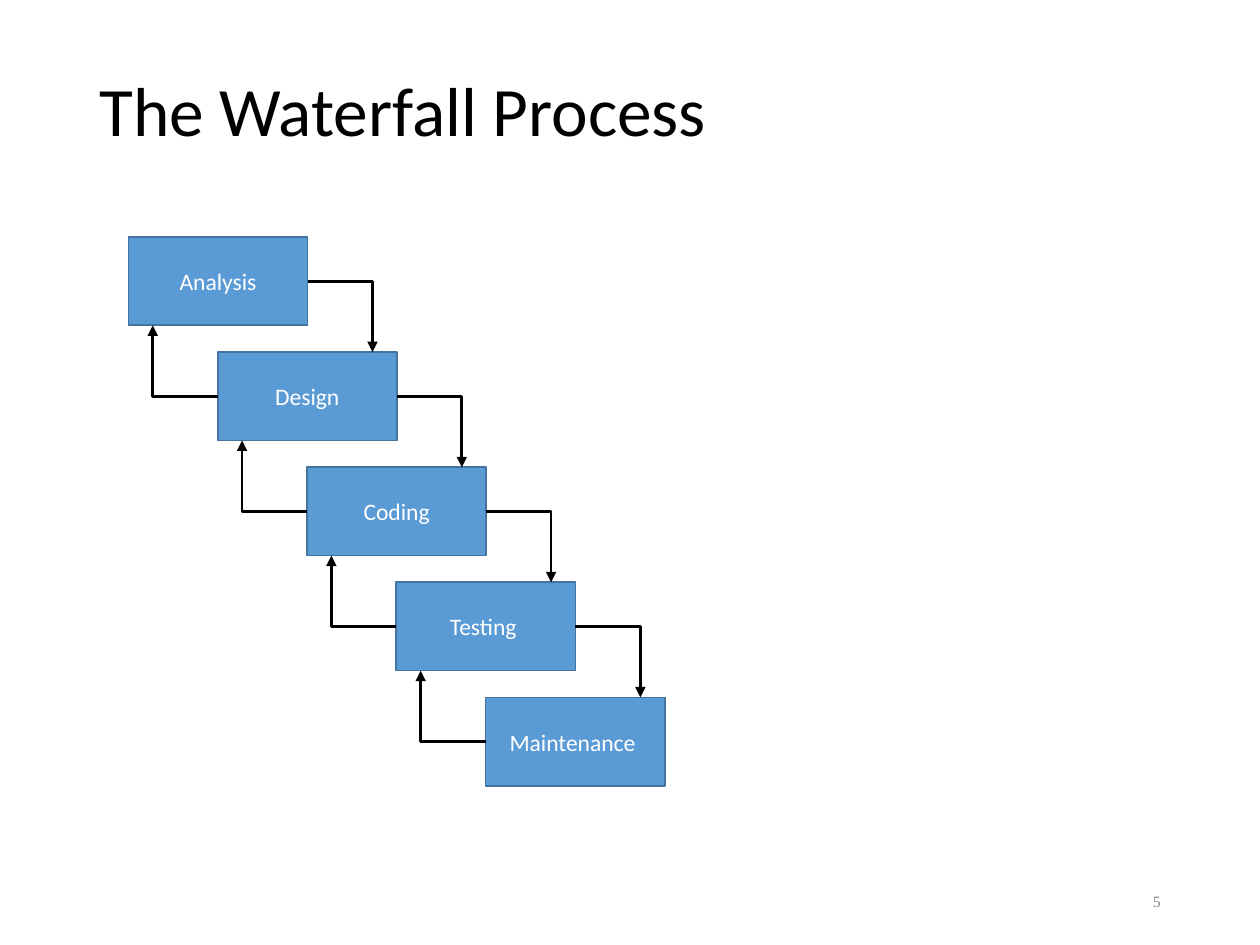
from lxml.etree import SubElement
from pptx import Presentation
from pptx.dml.color import RGBColor
from pptx.enum.shapes import MSO_CONNECTOR as Connector, MSO_SHAPE as Shape
from pptx.enum.text import MSO_ANCHOR as Anchor, MSO_AUTO_SIZE as AutoSize, PP_ALIGN as Align
from pptx.oxml.ns import qn
from pptx.util import Cm, Pt

COLORS = {
    "title": "000000",
    "phase": "5B9BD5",
    "phase_edge": "43739E",
    "phase_text": "FFFFFF",
    "arrow": "000000",
    "number": "898989",
}
PHASES = ["Analysis", "Design", "Coding", "Testing ", "Maintenance "]
PHASE_WIDTH, PHASE_HEIGHT = 3.61, 1.78
STEP_X, STEP_Y = 1.8, 2.32
ARROW_WIDTH = 1.31
ARROW_HEIGHT = STEP_Y - PHASE_HEIGHT / 2


def color(role):
    """Return the colour of a role."""
    return RGBColor.from_string(COLORS[role])


def write(frame, text, size, role, align, font="Calibri"):
    """Write one line of text, centred vertically in its frame."""
    frame.word_wrap = True
    frame.auto_size = AutoSize.NONE
    frame.vertical_anchor = Anchor.MIDDLE
    paragraph = frame.paragraphs[0]
    paragraph.alignment = align
    run = paragraph.add_run()
    run.text = text
    run.font.size = Pt(size)
    run.font.name = font
    run.font.color.rgb = color(role)
    return paragraph


def add_title(slide, left, top, width, height):
    """Place and fill the title placeholder."""
    title = slide.shapes.title
    title.left, title.top = Cm(left), Cm(top)
    title.width, title.height = Cm(width), Cm(height)
    heading = write(title.text_frame, "The Waterfall Process", 39.6, "title", Align.LEFT)
    heading.line_spacing = 0.9


def add_phase(slide, name, left, top):
    """Draw one phase of the process."""
    phase = slide.shapes.add_shape(
        Shape.FLOWCHART_PROCESS, Cm(left), Cm(top), Cm(PHASE_WIDTH), Cm(PHASE_HEIGHT))
    phase.shadow.inherit = False
    phase.fill.solid()
    phase.fill.fore_color.rgb = color("phase")
    phase.line.color.rgb = color("phase_edge")
    phase.line.width = Pt(1)
    write(phase.text_frame, name, 13.5, "phase_text", Align.CENTER)


def add_arrow(slide, left, top, back=False):
    """Draw a one-bend arrow: right then down, or left then up if back."""
    arrow = slide.shapes.add_connector(
        Connector.ELBOW, Cm(left), Cm(top), Cm(left + ARROW_WIDTH), Cm(top + ARROW_HEIGHT))
    arrow.line.color.rgb = color("arrow")
    arrow.line.width = Pt(1.5)
    properties = arrow._element.spPr
    properties.find(qn("a:prstGeom")).set("prst", "bentConnector2")
    if back:
        properties.find(qn("a:xfrm")).set("rot", "10800000")
    SubElement(properties.find(qn("a:ln")), qn("a:tailEnd"), type="triangle")
    SubElement(properties, qn("a:effectLst"))


def add_waterfall(slide, left, top):
    """Draw the staircase of phases and the arrows between neighbours."""
    corners = [(left + i * STEP_X, top + i * STEP_Y) for i in range(len(PHASES))]
    for name, (x, y) in zip(PHASES, corners):
        add_phase(slide, name, x, y)
    for x, y in corners[:-1]:
        add_arrow(slide, x + PHASE_WIDTH, y + PHASE_HEIGHT / 2)
    for x, y in corners[:-1]:
        add_arrow(slide, x + STEP_X - ARROW_WIDTH, y + PHASE_HEIGHT, back=True)


def add_page_number(slide, left, top, width, height):
    """Write the page number."""
    number = slide.shapes.add_textbox(Cm(left), Cm(top), Cm(width), Cm(height))
    write(number.text_frame, "5", 9, "number", Align.RIGHT, "Times New Roman")


def main():
    """Build and save the slide."""
    deck = Presentation()
    deck.slide_width, deck.slide_height = Cm(25.4), Cm(19.05)
    slide = deck.slides.add_slide(deck.slide_layouts.get_by_name("Title Only"))
    add_title(slide, 1.75, 1.52, 21.9, 1.55)
    add_page_number(slide, 17.93, 17.65, 5.72, 1.02)
    add_waterfall(slide, 2.59, 4.78)
    deck.save("out.pptx")


main()
